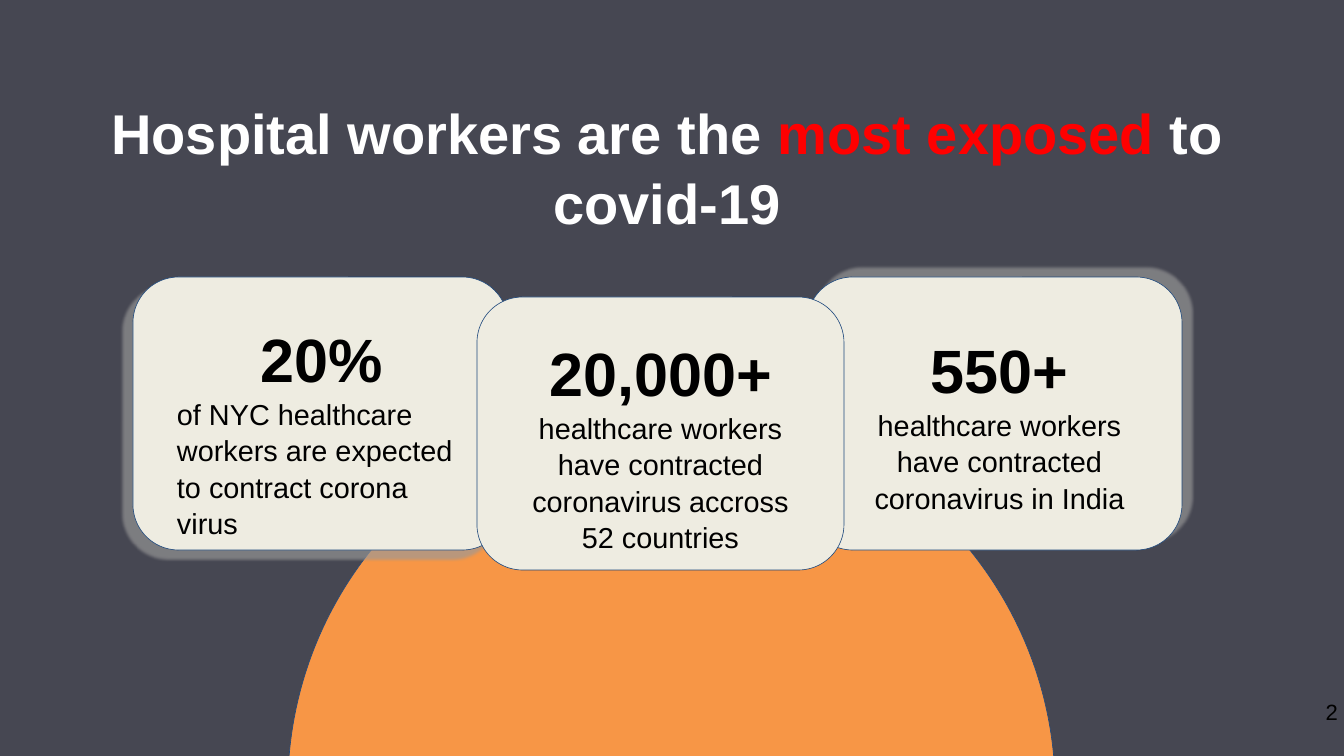
from lxml.etree import SubElement
from pptx import Presentation
from pptx.dml.color import RGBColor
from pptx.enum.shapes import MSO_SHAPE as SHAPE
from pptx.enum.text import PP_ALIGN as ALIGN
from pptx.oxml.ns import qn
from pptx.util import Pt

PX = 14961  # EMU per px
FONT = "Arial"
COLORS = {
    "back": "464752",
    "dome": "F79646",
    "card": "EEECE1",
    "outline": "1F497D",
    "shadow": "999999",
    "text": "000000",
    "title": "FFFFFF",
    "accent": "FF0000",
}


def rgb(name):
    return RGBColor.from_string(COLORS[name])


def box(*px):
    return [v * PX for v in px]


def add_shape(slide, kind, bounds, fill, adjustments):
    sp = slide.shapes.add_shape(kind, *box(*bounds))
    for i, value in enumerate(adjustments):
        sp.adjustments[i] = value
    sp.shadow.inherit = False
    sp.fill.solid()
    sp.fill.fore_color.rgb = rgb(fill)
    sp.line.color.rgb = rgb("outline")
    sp.line.width = Pt(0.75)
    return sp


def add_shadow(sp, angle):
    effects = sp._element.spPr.find(qn("a:effectLst"))
    shadow = SubElement(effects, qn("a:outerShdw"), blurRad=str(Pt(3.4)),
                        dist=str(Pt(15.8)), dir=str(angle * 60000),
                        algn="ctr", rotWithShape="0")
    color = SubElement(shadow, qn("a:srgbClr"), val=COLORS["shadow"])
    SubElement(color, qn("a:alpha"), val="65000")


def add_text(slide, bounds, paragraphs, inset=0, spacing=None):
    """Each paragraph is (runs, size, bold, alignment); a run is (text, colour)."""
    tf = slide.shapes.add_textbox(*box(*bounds)).text_frame
    tf.word_wrap = True
    tf.margin_left = tf.margin_right = inset * PX
    tf.margin_top = tf.margin_bottom = inset * PX
    for i, (runs, size, bold, align) in enumerate(paragraphs):
        p = tf.add_paragraph() if i else tf.paragraphs[0]
        p.alignment = align
        p.line_spacing = spacing
        p.font.name, p.font.size, p.font.bold = FONT, Pt(size), bold
        for text, color in runs:
            r = p.add_run()
            r.text = text
            r.font.color.rgb = rgb(color)


def add_card(slide, bounds, text_at, figure, lines, align, angle):
    sp = add_shape(slide, SHAPE.ROUNDED_RECTANGLE, bounds, "card", [0.167])
    if angle is not None:
        add_shadow(sp, angle)
    paragraphs = [([(figure, "text")], 72, True, ALIGN.CENTER)]
    paragraphs += [([(line, "text")], 34, False, align) for line in lines]
    add_text(slide, (*text_at, 301, 216), paragraphs, inset=6, spacing=1.05)


def main():
    prs = Presentation()
    prs.slide_width, prs.slide_height = box(1344, 756)
    slide = prs.slides.add_slide(prs.slide_layouts[6])
    slide.background.fill.solid()
    slide.background.fill.fore_color.rgb = rgb("back")

    # Dome rising from the bottom edge
    dome = add_shape(slide, SHAPE.CHORD, (290, 405, 763, 768), "dome",
                     [27, 163.94])
    dome.rotation = 110.5

    # Figure cards, the middle one in front
    cards = [
        ((133, 277, 375, 273), (171, 312), "20%",
         ["of NYC healthcare workers are expected to contract corona virus"],
         ALIGN.LEFT, 140),
        ((807, 277, 375, 273), (849, 323), "550+",
         ["healthcare workers have contracted coronavirus in India"],
         ALIGN.CENTER, 317),
        ((477, 297, 367, 273), (510, 326), "20,000+",
         ["healthcare workers have contracted coronavirus accross",
          "52 countries"],
         ALIGN.CENTER, None),
    ]
    for card in cards:
        add_card(slide, *card)

    # Title
    title = [("Hospital workers are the ", "title"),
             ("most exposed", "accent"), (" to covid-19", "title")]
    add_text(slide, (97, 95, 1140, 135), [(title, 66, True, ALIGN.CENTER)],
             spacing=1.05)

    # Page number
    add_text(slide, (1257, 698, 81, 58),
             [([("2", "text")], 26, False, ALIGN.RIGHT)])

    prs.save("out.pptx")


if __name__ == "__main__":
    main()
